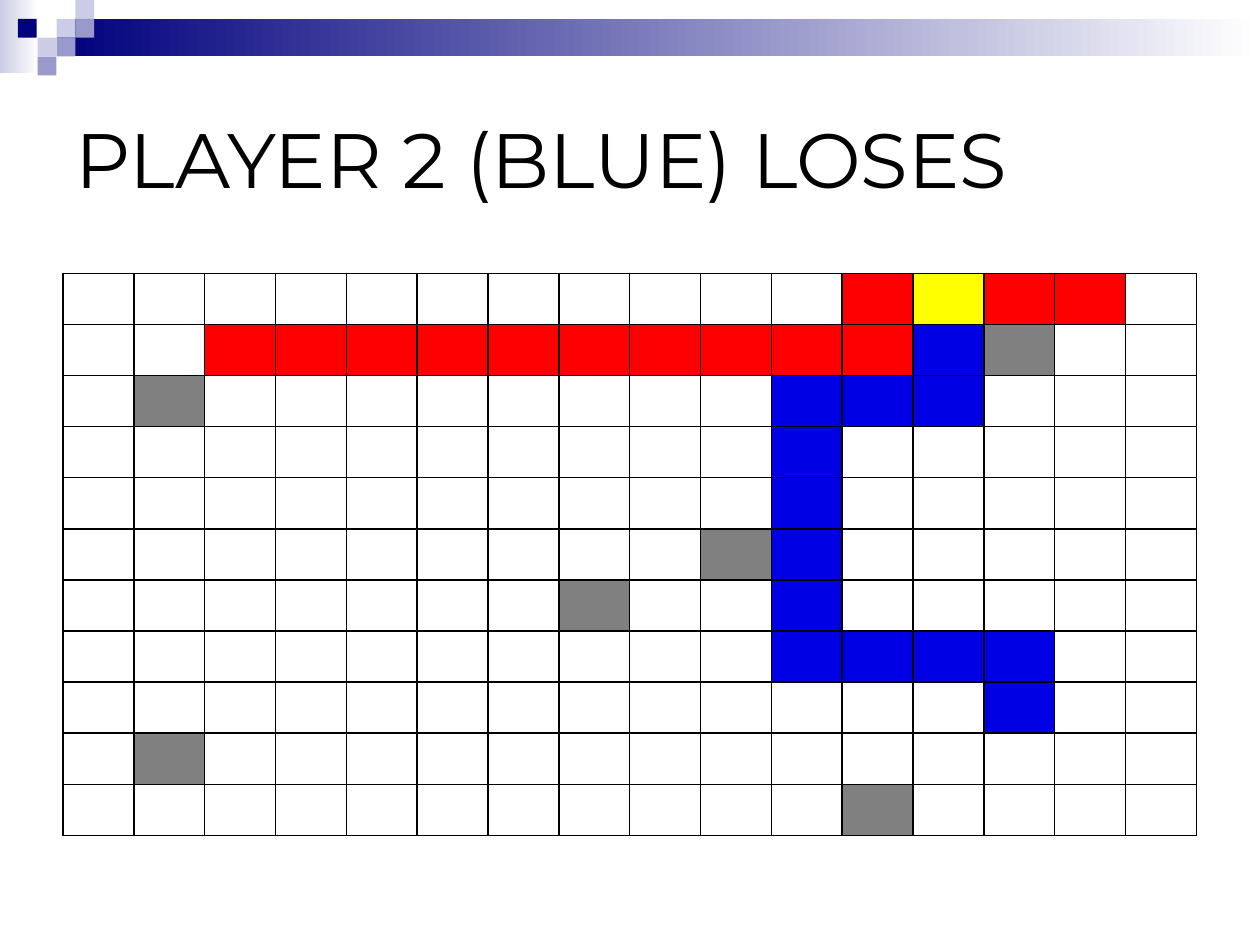
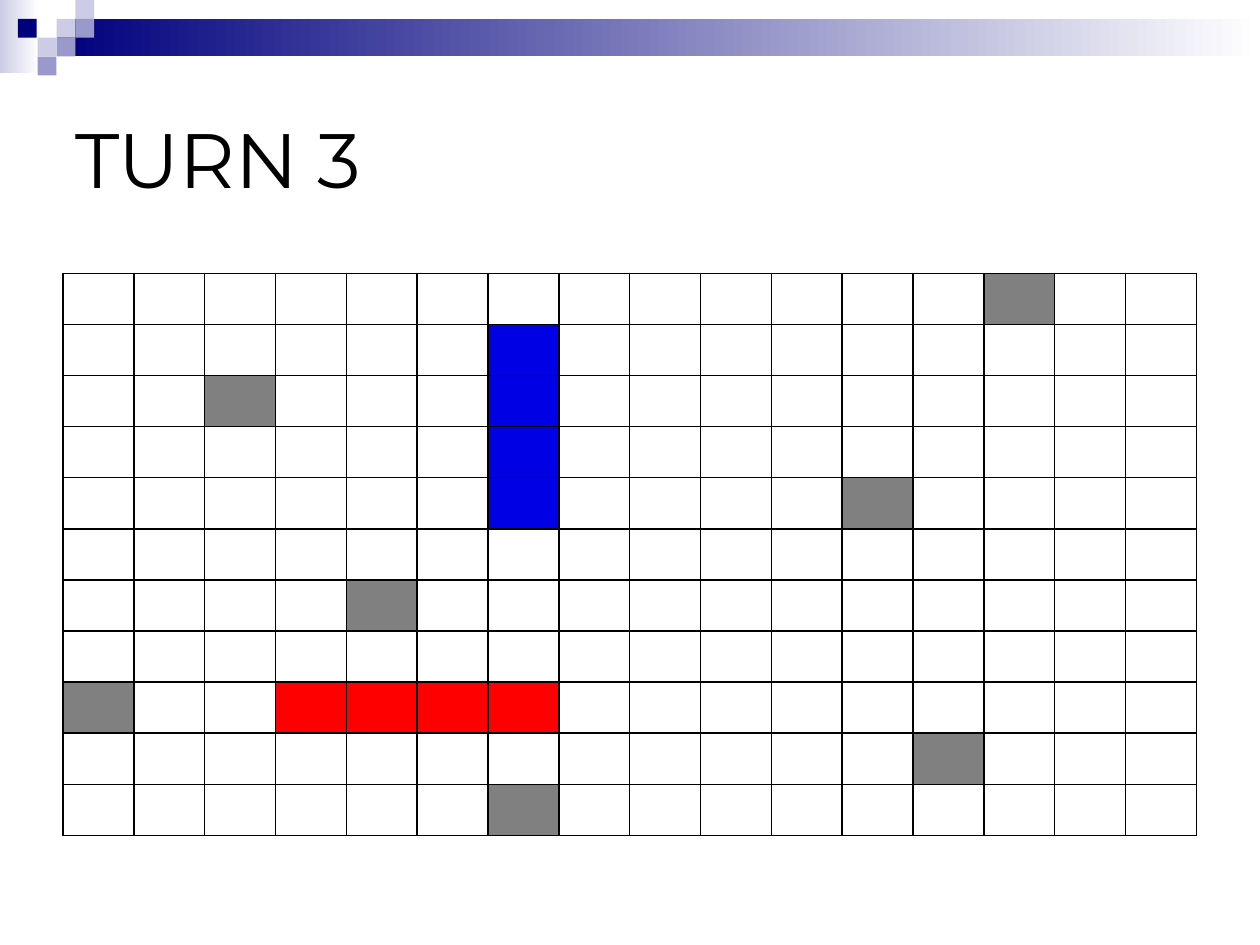
from lxml.etree import SubElement
from pptx import Presentation
from pptx.dml.color import RGBColor
from pptx.enum.shapes import MSO_SHAPE as Shape
from pptx.enum.text import MSO_ANCHOR as Anchor
from pptx.oxml.ns import qn
from pptx.util import Cm, Pt

COLOURS = {
    "text": "000000", "grid": "000000",
    "navy": "00007D", "lavender": "9999CC", "pale": "CCCCE6", "white": "FFFFFF",
    "red": "FF0000", "blue": "0000E4", "crash": "FFFF00", "obstacle": "808080",
}
FONT = "Montserrat"
MARGIN, CONTENT_WIDTH = 1.27, 22.86
BOARD_TOP, ROW_HEIGHT = 5.51, 1.03
SQUARE = 0.38

# One letter per board square: R and B are the players' trails,
# Y is the crash, G an obstacle, and a dot is free.
SQUARE_COLOURS = {".": "white", "R": "red", "B": "blue", "Y": "crash", "G": "obstacle"}
BLUE_LOSES = """
...........RYRR.
..RRRRRRRRRRBG..
.G........BBB...
..........B.....
..........B.....
.........GB.....
.......G..B.....
..........BBBB..
.............B..
.G..............
...........G....
"""
TURN_3 = """
.............G..
......B.........
..G...B.........
......B.........
......B....G....
................
....G...........
................
G..RRRR.........
............G...
......G.........
"""


def colour(name):
    return RGBColor.from_string(COLOURS[name])


def add_block(slide, left, top, width, height, start, end=None):
    """Add a borderless rectangle; with an end colour it fades left to right."""
    block = slide.shapes.add_shape(Shape.RECTANGLE, Cm(left), Cm(top), Cm(width), Cm(height))
    block.shadow.inherit = False
    block.line.fill.background()
    if end is None:
        block.fill.solid()
        block.fill.fore_color.rgb = colour(start)
        return
    block.fill.gradient()
    block.fill.gradient_angle = 0
    for stop, name in zip(block.fill.gradient_stops, (start, end)):
        stop.color.rgb = colour(name)


def add_header_band(slide):
    add_block(slide, 0, 0, 0.79, 1.47, "pale", "white")
    add_block(slide, 1.14, SQUARE, 24.26, 2 * SQUARE, "navy", "white")
    add_block(slide, 0.36, SQUARE, SQUARE, SQUARE, "navy")
    mosaic = {
        "pale": [(3, 1), (4, 0), (2, 2)],
        "lavender": [(4, 1), (3, 2), (2, 3)],
    }
    for name, places in mosaic.items():
        for column, row in places:
            add_block(slide, column * SQUARE, row * SQUARE, SQUARE, SQUARE, name)


def add_title(slide, wording):
    frame = slide.shapes.add_textbox(
        Cm(MARGIN), Cm(MARGIN), Cm(CONTENT_WIDTH), Cm(3.81)).text_frame
    frame.word_wrap = True
    frame.vertical_anchor = Anchor.MIDDLE
    heading = frame.paragraphs[0]
    heading.text = wording
    heading.font.name = FONT
    heading.font.size = Pt(44)
    heading.font.color.rgb = colour("text")


def outline_cell(cell):
    properties = cell._tc.get_or_add_tcPr()
    for side in ("a:lnL", "a:lnR", "a:lnT", "a:lnB"):
        edge = SubElement(properties, qn(side), w=str(Pt(1)))
        fill = SubElement(edge, qn("a:solidFill"))
        SubElement(fill, qn("a:srgbClr"), val=COLOURS["grid"])


def add_board(slide, layout):
    rows = layout.split()
    board = slide.shapes.add_table(
        len(rows), len(rows[0]), Cm(MARGIN), Cm(BOARD_TOP),
        Cm(CONTENT_WIDTH), Cm(ROW_HEIGHT * len(rows))).table
    board.first_row = board.horz_banding = False
    for row, letters in enumerate(rows):
        for column, letter in enumerate(letters):
            cell = board.cell(row, column)
            cell.margin_top = cell.margin_bottom = 0
            outline_cell(cell)
            cell.fill.solid()
            cell.fill.fore_color.rgb = colour(SQUARE_COLOURS[letter])


def main():
    deck = Presentation()
    deck.slide_width, deck.slide_height = Cm(25.4), Cm(19.05)
    for title, layout in (("PLAYER 2 (BLUE) LOSES", BLUE_LOSES), ("TURN 3", TURN_3)):
        slide = deck.slides.add_slide(deck.slide_layouts[6])
        add_header_band(slide)
        add_title(slide, title)
        add_board(slide, layout)
    deck.save("out.pptx")


if __name__ == "__main__":
    main()
